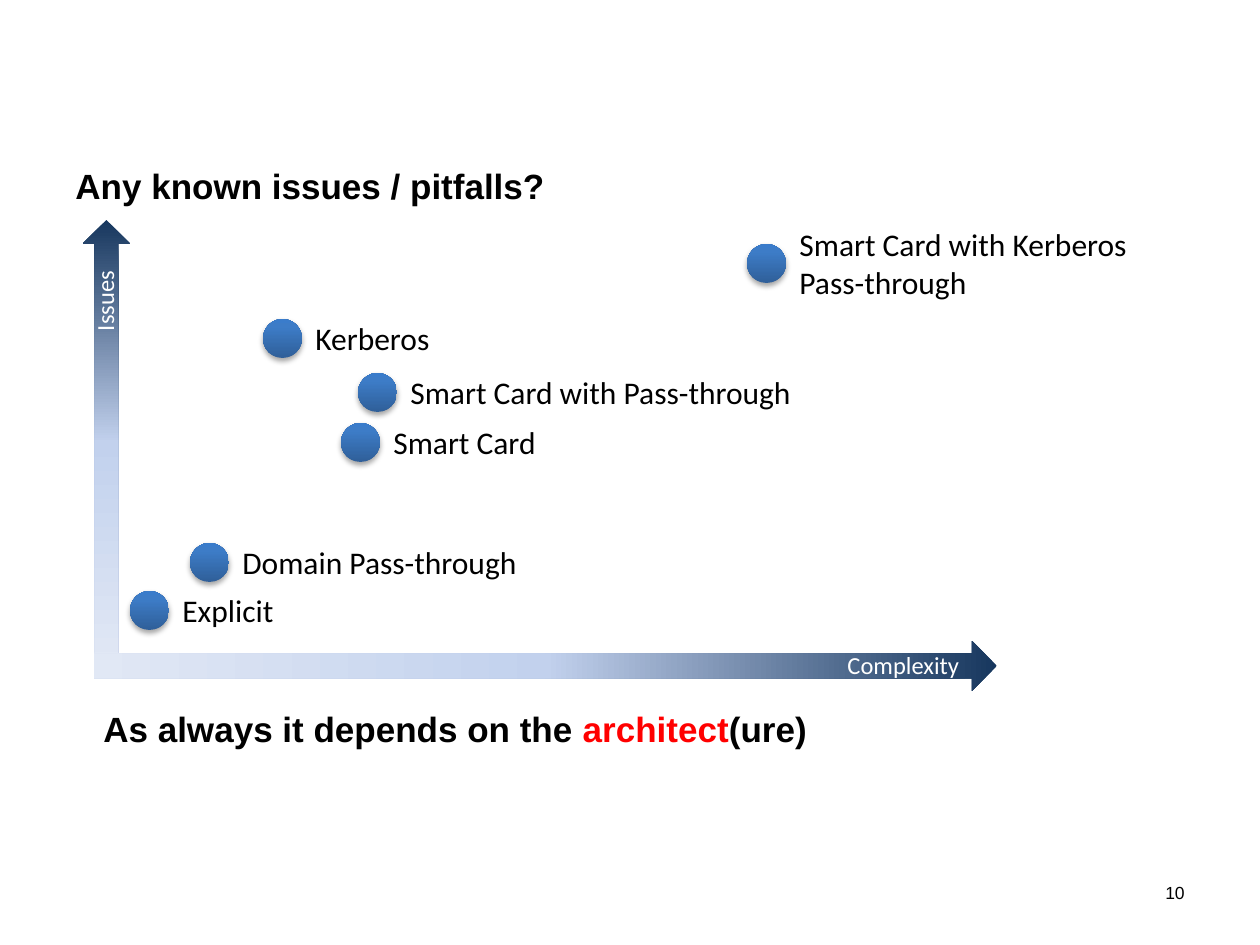
from pptx import Presentation
from pptx.dml.color import RGBColor
from pptx.enum.shapes import MSO_SHAPE as SHAPE
from pptx.enum.text import PP_ALIGN as ALIGN
from pptx.oxml import parse_xml
from pptx.oxml.ns import nsdecls
from pptx.util import Pt

PX = 914400 / 126
COLORS = {
    "text": "000000", "accent": "FF0000", "on_axis": "FFFFFF", "shadow": "000000",
    "axis_dark": "17375E", "axis_mid": "C2D1ED", "axis_light": "E1E8F5",
    "dot_bottom": "2F5F99", "dot_upper": "3D7CC7", "dot_top": "3A7CCB",
}
AXIS_STOPS = [(0, "axis_dark"), (50, "axis_mid"), (100, "axis_light")]
DOT_STOPS = [(0, "dot_bottom"), (80, "dot_upper"), (100, "dot_top")]
DOT = 39
LABEL_GAP = 1
LINE_H, TWO_LINES_H = 50, 89

# left, top, label, label width, label height
METHODS = [
    (130, 591, "Explicit", 343, LINE_H),
    (190, 543, "Domain Pass-through", 343, LINE_H),
    (341, 423, "Smart Card", 343, LINE_H),
    (358, 373, "Smart Card with Pass-through", 421, LINE_H),
    (263, 319, "Kerberos", 421, LINE_H),
    (747, 244, "Smart Card with Kerberos\nPass-through", 421, TWO_LINES_H),
]


def emu(*lengths):
    return [round(n * PX) for n in lengths]


class Slide:
    heading_font = "Arial"
    label_font = "Calibri"

    def __init__(self, prs):
        self.s = prs.slides.add_slide(prs.slide_layouts[6])

    def text(self, box, parts, size, font, bold=False, align=ALIGN.LEFT, rotation=0):
        """Add one paragraph made of (wording, colour name) parts."""
        sp = self.s.shapes.add_textbox(*emu(*box))
        sp.rotation = rotation
        tf = sp.text_frame
        tf.word_wrap = True
        p = tf.paragraphs[0]
        p.alignment = align
        p.text = parts[0][0]
        for wording, _ in parts[1:]:
            p.add_run().text = wording
        # A line break splits one part into several runs of the same colour.
        colors = [c for wording, c in parts for _ in wording.split("\n")]
        for r, color in zip(p.runs, colors):
            r.font.size = Pt(size)
            r.font.name = font
            r.font.bold = bold
            r.font.color.rgb = RGBColor.from_string(COLORS[color])

    def heading(self, box, *parts):
        self.text(box, parts, 20, self.heading_font, bold=True)

    def gradient_shape(self, kind, box, stops, angle):
        """Add a borderless shape; angle is in degrees, clockwise."""
        sp = self.s.shapes.add_shape(kind, *emu(*box))
        sp.shadow.inherit = False
        sp.line.fill.background()
        stop_xml = "".join(
            f'<a:gs pos="{pos * 1000}"><a:srgbClr val="{COLORS[c]}"/></a:gs>'
            for pos, c in stops)
        sp._element.spPr.prstGeom.addnext(parse_xml(
            f'<a:gradFill {nsdecls("a")} rotWithShape="1"><a:gsLst>{stop_xml}</a:gsLst>'
            f'<a:lin ang="{angle * 60000}" scaled="0"/></a:gradFill>'))
        return sp

    def axis(self, kind, box, angle):
        self.gradient_shape(kind, box, AXIS_STOPS, angle)

    def axis_label(self, box, wording, rotation=0):
        self.text(box, [(wording, "on_axis")], 14, self.label_font, rotation=rotation)

    def dot(self, left, top):
        sp = self.gradient_shape(SHAPE.OVAL, (left, top, DOT, DOT), DOT_STOPS, 270)
        sp._element.spPr.effectLst.append(parse_xml(
            f'<a:outerShdw {nsdecls("a")} blurRad="{Pt(3.1)}" dist="{Pt(1.8)}" '
            f'dir="5400000" rotWithShape="0"><a:srgbClr val="{COLORS["shadow"]}">'
            '<a:alpha val="35000"/></a:srgbClr></a:outerShdw>'))

    def method(self, left, top, label, width, height):
        """Add a dot with its label to the right, centred on the dot."""
        self.dot(left, top)
        box = (left + DOT + LABEL_GAP, top + (DOT - height) // 2, width, height)
        self.text(box, [(label, "text")], 18, self.label_font)

    def page_number(self, box, number):
        self.text(box, [(number, "text")], 10, self.heading_font, align=ALIGN.RIGHT)


def main():
    prs = Presentation()
    prs.slide_width, prs.slide_height = emu(1260, 945)
    slide = Slide(prs)

    slide.axis(SHAPE.UP_ARROW, (83, 220, 47, 446), 90)
    slide.page_number((903, 876, 294, 50), "10")
    slide.heading((63, 158, 537, 77), ("Any known issues / pitfalls?", "text"))
    slide.heading((91, 701, 843, 77), ("As always it depends on the ", "text"),
                  ("architect", "accent"), ("(ure)", "text"))
    slide.axis(SHAPE.RIGHT_ARROW, (94, 641, 903, 50), 180)
    slide.axis_label((835, 644, 218, 43), "Complexity")
    slide.axis_label((50, 267, 110, 43), "Issues", rotation=270)
    for entry in METHODS:
        slide.method(*entry)

    prs.save("out.pptx")


if __name__ == "__main__":
    main()
